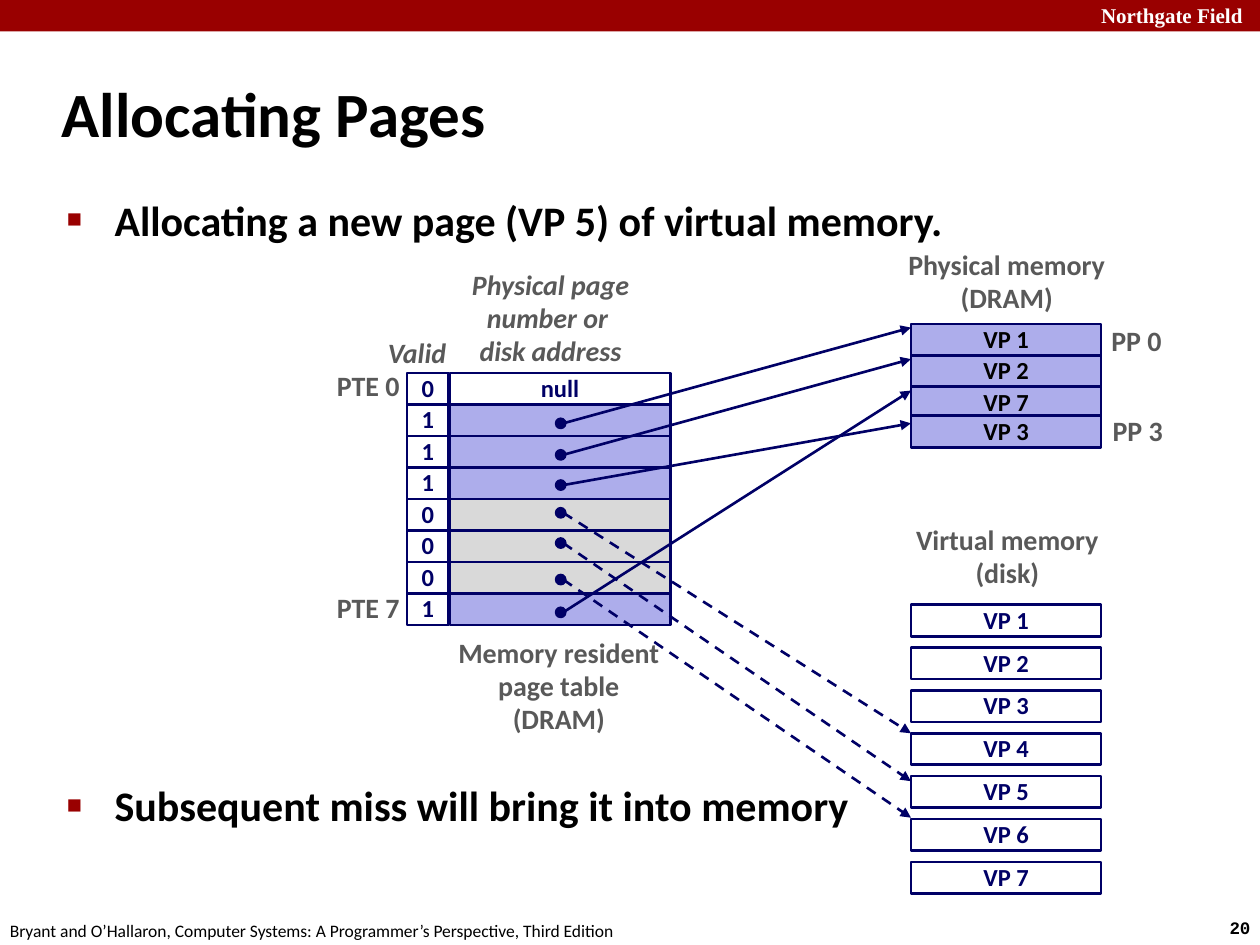
from lxml.etree import SubElement
from pptx import Presentation
from pptx.dml.color import RGBColor
from pptx.enum.dml import MSO_LINE
from pptx.enum.shapes import MSO_CONNECTOR, MSO_SHAPE
from pptx.enum.text import MSO_ANCHOR, PP_ALIGN
from pptx.oxml.ns import qn
from pptx.util import Inches, Pt

NAVY = RGBColor(0x00, 0x00, 0x66)
LILAC = RGBColor(0xAD, 0xAD, 0xEB)
SILVER = RGBColor(0xD9, 0xD9, 0xD9)
GRAY = RGBColor(0x59, 0x59, 0x59)
CRIMSON = RGBColor(0x99, 0x00, 0x00)
WHITE = RGBColor(0xFF, 0xFF, 0xFF)
BLACK = RGBColor(0x00, 0x00, 0x00)

ROW = 0.25
TABLE_TOP = 2.96
VALID_LEFT, VALID_WIDTH = 3.23, 0.33
ADDRESS_LEFT, ADDRESS_WIDTH = 3.57, 1.75
MEMORY_LEFT, MEMORY_WIDTH = 7.23, 1.51
DISK_TOP, DISK_PITCH = 4.8, 0.34
DOT_X, DOT_SIZE = 4.45, 0.08

deck = Presentation()
deck.slide_width, deck.slide_height = Inches(10), Inches(7.5)
slide = deck.slides.add_slide(deck.slide_layouts[1])
shapes = slide.shapes


def write(frame, lines, size, color, align=PP_ALIGN.CENTER, font="Calibri",
          bold=True, italic=False, spacing=0.98):
    """Fill a text frame with one formatted run for each line."""
    for index, line in enumerate(lines):
        paragraph = frame.add_paragraph() if index else frame.paragraphs[0]
        paragraph.alignment = align
        paragraph.line_spacing = spacing
        run = paragraph.add_run()
        run.text = line
        run.font.name, run.font.size = font, Pt(size)
        run.font.bold, run.font.italic = bold, italic
        run.font.color.rgb = color


def add_cell(left, top, width, height, fill, text="", color=NAVY,
             line=1.5, kind=MSO_SHAPE.RECTANGLE):
    """Draw an outlined shape with an optional centred caption."""
    cell = shapes.add_shape(kind, Inches(left), Inches(top), Inches(width), Inches(height))
    cell.shadow.inherit = False
    cell.fill.solid()
    cell.fill.fore_color.rgb = fill
    cell.line.color.rgb = NAVY
    cell.line.width = Pt(line)
    if text:
        cell.text_frame.word_wrap = False
        cell.text_frame.vertical_anchor = MSO_ANCHOR.MIDDLE
        write(cell.text_frame, [text], 14, color)


# Page furniture
banner = shapes.add_shape(MSO_SHAPE.RECTANGLE, 0, 0, deck.slide_width, Inches(0.25))
banner.shadow.inherit = False
banner.fill.solid()
banner.fill.fore_color.rgb = CRIMSON
banner.line.fill.background()

for left, top, width, height, text, size, font, color, bold in (
    (8.64, -0.03, 1.43, 0.3, "Northgate Field", 12, "Times New Roman", WHITE, True),
    (9.66, 7.23, 0.45, 0.27, "20", 10, "Courier New", BLACK, True),
    (-0.02, 7.25, 5.08, 0.27, "Bryant and O’Hallaron, Computer Systems: "
     "A Programmer’s Perspective, Third Edition", 10, "Calibri", BLACK, False),
):
    box = shapes.add_textbox(Inches(left), Inches(top), Inches(width), Inches(height))
    box.text_frame.word_wrap = False
    write(box.text_frame, [text], size, color, PP_ALIGN.LEFT, font, bold, spacing=1.0)

# Title and bullets
title = shapes.title
title.left, title.top, title.width, title.height = map(Inches, (0.39, 0.48, 8.3, 0.83))
title.text_frame.vertical_anchor = MSO_ANCHOR.MIDDLE
write(title.text_frame, ["Allocating Pages"], 36, BLACK, PP_ALIGN.LEFT, spacing=1.0)

body = slide.placeholders[1]
body.left, body.top, body.width, body.height = map(Inches, (0.43, 1.49, 8.64, 5.44))
write(body.text_frame, ["Allocating a new page (VP 5) of virtual memory.",
                        "Subsequent miss will bring it into memory"],
      24, BLACK, PP_ALIGN.LEFT, spacing=1.0)
for paragraph, gap in zip(body.text_frame.paragraphs, (1, 306)):
    paragraph.space_before = Pt(gap)
    properties = paragraph._p.get_or_add_pPr()
    properties.set("marL", str(Inches(0.38)))
    properties.set("indent", str(-Inches(0.38)))
    bullet_color = SubElement(properties, qn("a:buClr"))
    SubElement(bullet_color, qn("a:srgbClr"), val=str(CRIMSON))
    SubElement(properties, qn("a:buSzPct"), val="60000")
    SubElement(properties, qn("a:buChar"), char="■")

# Page table: valid bit and address for each entry
entries = [("0", WHITE, "null"), ("1", LILAC, ""), ("1", LILAC, ""), ("1", LILAC, ""),
           ("0", SILVER, ""), ("0", SILVER, ""), ("0", SILVER, ""), ("1", LILAC, "")]
for index, (valid, fill, address) in enumerate(entries):
    top = TABLE_TOP + index * ROW
    add_cell(ADDRESS_LEFT, top, ADDRESS_WIDTH, ROW, fill, address)
    add_cell(VALID_LEFT, top, VALID_WIDTH, ROW, WHITE, valid)

# Physical memory and disk
for top, page in zip((2.57, 2.82, 3.07, 3.3), (1, 2, 7, 3)):
    add_cell(MEMORY_LEFT, top, MEMORY_WIDTH, ROW, LILAC, f"VP {page}", BLACK)
for index in range(7):
    add_cell(MEMORY_LEFT, DISK_TOP + index * DISK_PITCH, MEMORY_WIDTH, ROW,
             WHITE, f"VP {index + 1}")

# Labels
for left, top, width, height, lines, align, italic in (
    (3.51, 5.01, 1.85, 0.89, ["Memory resident", "page table", "(DRAM)"], PP_ALIGN.CENTER, False),
    (7.1, 1.93, 1.78, 0.63, ["Physical memory", "(DRAM)"], PP_ALIGN.CENTER, False),
    (7.15, 4.11, 1.69, 0.63, ["Virtual memory", "(disk)"], PP_ALIGN.CENTER, False),
    (3.64, 2.09, 1.46, 0.89, ["Physical page", "number or ", "disk address"],
     PP_ALIGN.CENTER, True),
    (2.98, 2.63, 0.75, 0.37, ["Valid"], PP_ALIGN.LEFT, True),
    (2.57, 2.89, 0.7, 0.37, ["PTE 0"], PP_ALIGN.RIGHT, False),
    (2.57, 4.65, 0.7, 0.37, ["PTE 7"], PP_ALIGN.RIGHT, False),
    (8.72, 2.53, 0.6, 0.37, ["PP 0"], PP_ALIGN.CENTER, False),
    (8.73, 3.25, 0.6, 0.37, ["PP 3"], PP_ALIGN.CENTER, False),
):
    label = shapes.add_textbox(Inches(left), Inches(top), Inches(width), Inches(height))
    label.text_frame.word_wrap = False
    write(label.text_frame, lines, 16, GRAY, align, italic=italic)

# Pointers from the table entries to the pages
for start, end, on_disk in ((3.36, 2.6, False), (3.61, 2.85, False), (3.85, 3.36, False),
                            (4.07, 5.82, True), (4.31, 6.2, True), (4.6, 6.49, True),
                            (4.86, 3.1, False)):
    pointer = shapes.add_connector(MSO_CONNECTOR.STRAIGHT, Inches(DOT_X + 0.02),
                                   Inches(start), Inches(MEMORY_LEFT), Inches(end))
    pointer.line.color.rgb = NAVY
    pointer.line.width = Pt(1.5)
    if on_disk:
        pointer.line.dash_style = MSO_LINE.DASH
    SubElement(pointer.line._get_or_add_ln(), qn("a:tailEnd"), type="triangle")
    SubElement(pointer._element.spPr, qn("a:effectLst"))
    add_cell(DOT_X - DOT_SIZE / 2, start - DOT_SIZE / 2, DOT_SIZE, DOT_SIZE, NAVY,
             line=1, kind=MSO_SHAPE.OVAL)

deck.save("out.pptx")
